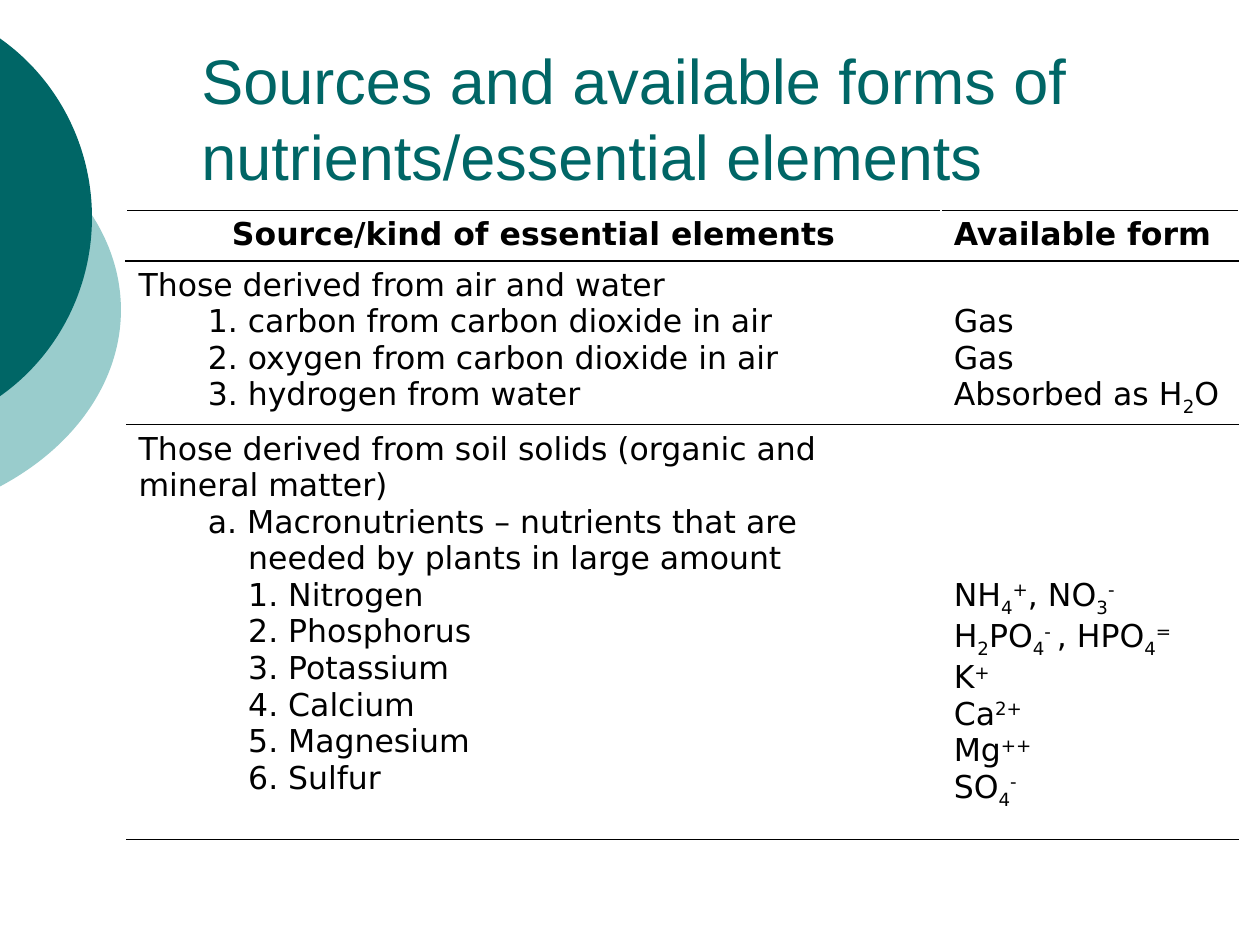
from dataclasses import dataclass

from lxml import etree
from pptx import Presentation
from pptx.dml.color import RGBColor
from pptx.enum.shapes import MSO_CONNECTOR, MSO_SHAPE
from pptx.enum.text import MSO_ANCHOR, PP_ALIGN
from pptx.oxml.ns import qn
from pptx.util import Inches, Pt

LEFT, CENTER = PP_ALIGN.LEFT, PP_ALIGN.CENTER
BOTTOM = MSO_ANCHOR.BOTTOM
STRAIGHT = MSO_CONNECTOR.STRAIGHT
OVAL = MSO_SHAPE.OVAL
BASELINES = {"_": "-25000", "^": "30000"}


@dataclass(frozen=True)
class Theme:
    teal: str = "006666"
    pale: str = "99CCCC"
    ink: str = "000000"
    paper: str = "FFFFFF"
    title_font: str = "Arial"
    body_font: str = "DejaVu Sans"
    title_size: float = 36
    body_size: float = 18
    rule: float = 1.1
    thin: float = 0.5
    line_height: float = 0.29
    indents: tuple = (0, 0.55, 0.87)


THEME = Theme()

AIR = [
    (0, "Those derived from air and water"),
    (1, "1. carbon from carbon dioxide in air"),
    (1, "2. oxygen from carbon dioxide in air"),
    (1, "3. hydrogen from water"),
]
AIR_FORMS = [(0, "Gas"), (0, "Gas"), (0, "Absorbed as H|_2|O")]
SOIL = [
    (0, "Those derived from soil solids (organic and mineral matter)"),
    (1, "a. Macronutrients – nutrients that are"),
    (2, "needed by plants in large amount"),
    (2, "1. Nitrogen"),
    (2, "2. Phosphorus"),
    (2, "3. Potassium"),
    (2, "4. Calcium"),
    (2, "5. Magnesium"),
    (2, "6. Sulfur"),
]
SOIL_FORMS = [
    (0, "NH|_4|^+|, NO|_3|^-"),
    (0, "H|_2|PO|_4|^- |, HPO|_4|^="),
    (0, "K|^+"),
    (0, "Ca|^2+"),
    (0, "Mg|^++"),
    (0, "SO|_4|^-"),
]


def write(tf, lines, *, font, size, color, bold=False, align=LEFT):
    tf.word_wrap = True
    for i, (level, text) in enumerate(lines):
        p = tf.add_paragraph() if i else tf.paragraphs[0]
        p.alignment = align
        if level:
            p._p.get_or_add_pPr().set("marL", str(Inches(THEME.indents[level])))
        for part in text.split("|"):
            r = p.add_run()
            r.text = part[1:] if part[0] in BASELINES else part
            r.font.name, r.font.size, r.font.bold = font, Pt(size), bold
            r.font.color.rgb = RGBColor.from_string(color)
            if part[0] in BASELINES:
                r.font._element.set("baseline", BASELINES[part[0]])


def set_border(cell, side, color, width):
    tc_pr = cell._tc.get_or_add_tcPr()
    ln = etree.Element(qn(f"a:ln{side}"), w=str(Pt(width)))
    if color:
        fill = etree.SubElement(ln, qn("a:solidFill"))
        etree.SubElement(fill, qn("a:srgbClr"), val=color)
    else:
        etree.SubElement(ln, qn("a:noFill"))
    tc_pr.insert(len(tc_pr.findall("*")) - 1, ln)


class Deck:
    def __init__(self, theme):
        self.theme = theme
        self.prs = Presentation()
        self.prs.slide_width, self.prs.slide_height = Inches(10), Inches(7.5)
        self.s = self.prs.slides.add_slide(self.prs.slide_layouts[6])

    def disc(self, left, top, width, height, color):
        sp = self.s.shapes.add_shape(
            OVAL, *map(Inches, (left, top, width, height)))
        sp.shadow.inherit = False
        sp.fill.solid()
        sp.fill.fore_color.rgb = RGBColor.from_string(color)
        sp.line.fill.background()

    def rule(self, x1, x2, y):
        sp = self.s.shapes.add_connector(
            STRAIGHT, Inches(x1), Inches(y), Inches(x2), Inches(y))
        sp.line.color.rgb = RGBColor.from_string(self.theme.ink)
        sp.line.width = Pt(1)
        etree.SubElement(sp._element.spPr, qn("a:effectLst"))

    def title(self, text, left, top, width, height):
        t = self.theme
        sp = self.s.shapes.add_textbox(*map(Inches, (left, top, width, height)))
        sp.text_frame.vertical_anchor = BOTTOM
        write(sp.text_frame, [(0, text)], font=t.title_font, size=t.title_size,
              color=t.teal)

    def table(self, left, top, widths, heights, rows, skips):
        t = self.theme
        tbl = self.s.shapes.add_table(
            len(rows), len(widths), Inches(left), Inches(top),
            Inches(sum(widths)), Inches(sum(heights))).table
        for col, width in zip(tbl.columns, widths):
            col.width = Inches(width)
        for i, row in enumerate(rows):
            tbl.rows[i].height = Inches(heights[i])
            header = i == 0
            for j, lines in enumerate(row):
                cell = tbl.cell(i, j)
                cell.fill.background()
                cell.margin_bottom = 0
                if j:
                    cell.margin_top = Inches(0.05 + skips[i] * t.line_height)
                write(cell.text_frame, lines, font=t.body_font, size=t.body_size,
                      color=t.ink, bold=header,
                      align=CENTER if header and j == 0 else LEFT)
                side = t.paper if header else None
                above = t.rule if i < 2 else t.thin
                below = t.rule if header else t.thin
                set_border(cell, "L", side, t.rule)
                set_border(cell, "R", side, t.rule)
                set_border(cell, "T", t.ink, above)
                set_border(cell, "B", t.ink, below)


def main():
    deck = Deck(THEME)
    deck.disc(-3.54, 0.75, 4.5, 3.42, THEME.pale)
    deck.disc(-2.65, 0, 3.38, 3.45, THEME.teal)
    deck.rule(1.5, 9.5, 1.67)
    deck.title("Sources and available forms of nutrients/essential elements",
               1.5, 0.33, 8, 1.25)
    deck.table(
        1, 1.67, widths=(6.47, 2.36), heights=(0.4, 1.3, 3.29),
        rows=[
            ([(0, "Source/kind of essential elements")], [(0, "Available form")]),
            (AIR, AIR_FORMS),
            (SOIL, SOIL_FORMS),
        ],
        skips=(0, 1, 4))
    deck.prs.save("out.pptx")


if __name__ == "__main__":
    main()
